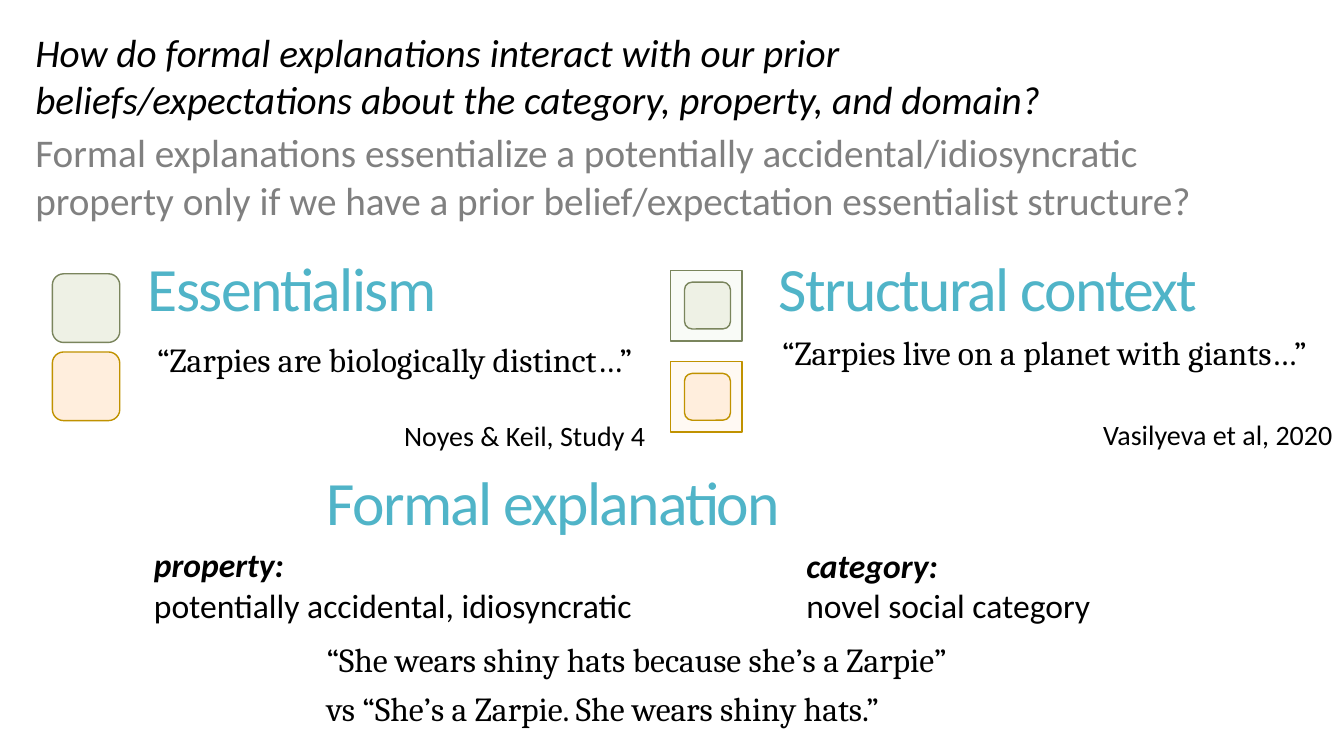
"""Build the slide on formal explanations, essentialism and structural context."""
import pptx
import pptx.dml.color
import pptx.enum.shapes
import pptx.enum.text
import pptx.util

COLORS = {
    "black": "000000",
    "gray": "808080",
    "teal": "50B4C8",
    "green": "EEF1E5",
    "pale green": "F9FBF7",
    "green line": "7A855D",
    "orange": "FFEEDD",
    "pale orange": "FFF9F3",
    "orange line": "C09200",
}
SHAPES = pptx.enum.shapes.MSO_SHAPE
ALIGN = pptx.enum.text.PP_ALIGN
ANCHOR = pptx.enum.text.MSO_ANCHOR


class SlideBuilder:
    def __init__(self, slide):
        self.slide = slide
        self.body_font = "Calibri"
        self.quote_font = "Cambria"

    def color(self, name):
        return pptx.dml.color.RGBColor.from_string(COLORS[name])

    def place(self, *lengths):
        return [pptx.util.Cm(length) for length in lengths]

    def text(self, place, lines, size=24, font=None, color="black", italic=False,
             align=ALIGN.LEFT, anchor=ANCHOR.TOP):
        box = self.slide.shapes.add_textbox(*self.place(*place))
        frame = box.text_frame
        frame.word_wrap = True
        frame.vertical_anchor = anchor
        frame.text = lines
        for para in frame.paragraphs:
            para.alignment = align
            for span in para.runs:
                span.font.size = pptx.util.Pt(size)
                span.font.name = font or self.body_font
                span.font.color.rgb = self.color(color)
                span.font.italic = italic
        return frame

    def heading(self, place, words):
        frame = self.text(place, words, 44, color="teal", anchor=ANCHOR.MIDDLE)
        para = frame.paragraphs[0]
        para.line_spacing = 0.85
        para.runs[0]._r.get_or_add_rPr().set("spc", "-120")

    def quote(self, place, words):
        self.text(place, words, font=self.quote_font)

    def citation(self, place, words):
        self.text(place, words, 20, align=ALIGN.RIGHT)

    def definition(self, place, term, meaning):
        frame = self.text(place, f"{term}\n{meaning}")
        term_font = frame.paragraphs[0].runs[0].font
        term_font.bold = True
        term_font.italic = True

    def tile(self, kind, place, fill, line):
        shape = self.slide.shapes.add_shape(kind, *self.place(*place))
        shape.shadow.inherit = False
        shape.fill.solid()
        shape.fill.fore_color.rgb = self.color(fill)
        shape.line.color.rgb = self.color(line)
        shape.line.width = pptx.util.Pt(1)

    def category_tiles(self, hue, single_top, frame_top):
        line = f"{hue} line"
        self.tile(SHAPES.ROUNDED_RECTANGLE, (1.32, single_top, 1.7, 1.73), hue, line)
        self.tile(SHAPES.RECTANGLE, (16.9, frame_top, 1.8, 1.78), f"pale {hue}", line)
        self.tile(SHAPES.ROUNDED_RECTANGLE, (17.25, frame_top + 0.3, 1.16, 1.18), hue, line)


def main():
    deck = pptx.Presentation()
    deck.slide_width = pptx.util.Cm(33.87)
    deck.slide_height = pptx.util.Cm(19.05)
    page = SlideBuilder(deck.slides.add_slide(deck.slide_layouts[6]))

    page.text((0.64, 0.58, 27.91, 2.64),
              "How do formal explanations interact with our prior beliefs/expectations "
              "about the category, property, and domain?", 28, italic=True)
    page.text((0.64, 3.12, 31.14, 2.64),
              "Formal explanations essentialize a potentially accidental/idiosyncratic "
              "property only if we have a prior belief/expectation essentialist structure?",
              28, color="gray")

    page.category_tiles("green", 6.9, 6.81)
    page.category_tiles("orange", 8.87, 9.11)

    page.heading((3.48, 6.22, 8.99, 2.29), "Essentialism")
    page.quote((3.71, 8.41, 13.23, 1.27), "“Zarpies are biologically distinct…”")
    page.citation((3.28, 10.41, 13.23, 1.12), "Noyes & Keil, Study 4")

    page.heading((19.38, 6.25, 12.55, 2.26), "Structural context")
    page.quote((19.46, 8.23, 14.4, 1.27), "“Zarpies live on a planet with giants…”")
    page.citation((20.6, 10.39, 13.23, 1.12), "Vasilyeva et al, 2020")

    page.heading((7.98, 10.26, 13.56, 5.03), "Formal explanation")
    page.definition((3.63, 13.59, 13.56, 2.31),
                    "property:", "potentially accidental, idiosyncratic")
    page.definition((20.07, 13.61, 8.48, 2.31), "category:", "novel social category")
    page.quote((7.98, 15.98, 19.74, 1.27), "“She wears shiny hats because she’s a Zarpie”")
    page.quote((7.98, 17.2, 15.11, 1.27), "vs “She’s a Zarpie. She wears shiny hats.”")

    deck.save("out.pptx")


if __name__ == "__main__":
    main()
